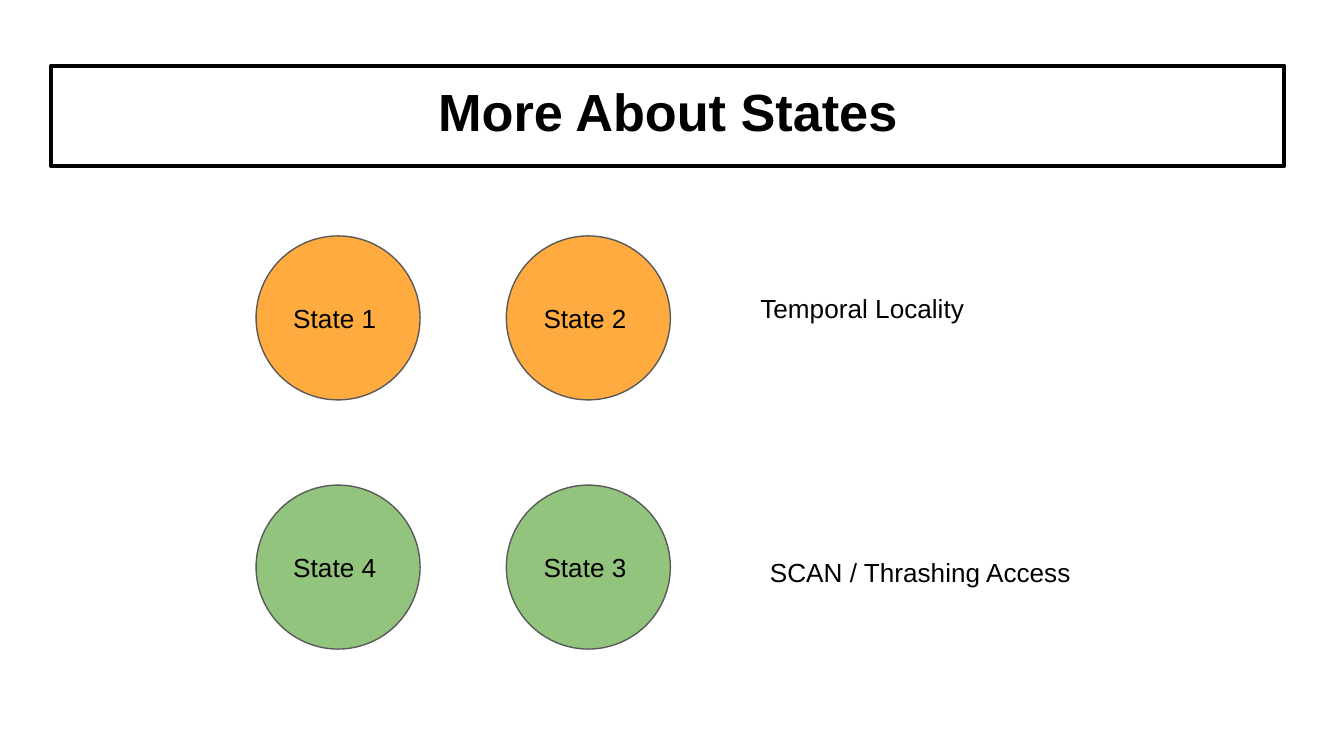
from dataclasses import dataclass

from pptx import Presentation
from pptx.dml.color import RGBColor
from pptx.enum.shapes import MSO_SHAPE
from pptx.enum.text import MSO_ANCHOR, MSO_AUTO_SIZE, PP_ALIGN
from pptx.util import Cm, Pt

OVAL = MSO_SHAPE.OVAL
TOP, MIDDLE = MSO_ANCHOR.TOP, MSO_ANCHOR.MIDDLE
LEFT, CENTER = PP_ALIGN.LEFT, PP_ALIGN.CENTER
NO_AUTOFIT = MSO_AUTO_SIZE.NONE
TITLE_ONLY = 5


@dataclass(frozen=True)
class Theme:
    font: str = "Arial"
    ink: str = "000000"
    outline: str = "595959"
    locality: str = "FFAB40"
    thrashing: str = "93C47D"
    title_size: float = 28
    body_size: float = 14
    title_border: float = 2.25
    state_border: float = 0.75
    inset: float = 0.25


class StateSlide:
    def __init__(self, presentation, theme):
        self.theme = theme
        self.slide = presentation.slides.add_slide(
            presentation.slide_layouts[TITLE_ONLY])

    def set_text(self, shape, wording, size, bold=False, align=LEFT, anchor=TOP):
        frame = shape.text_frame
        frame.text = wording
        inset = Cm(self.theme.inset)
        frame_format = {
            "word_wrap": True, "auto_size": NO_AUTOFIT,
            "vertical_anchor": anchor,
            "margin_left": inset, "margin_right": inset,
            "margin_top": inset, "margin_bottom": inset,
        }
        for name, value in frame_format.items():
            setattr(frame, name, value)
        paragraph = frame.paragraphs[0]
        paragraph.alignment = align
        font = paragraph.runs[0].font
        font_format = {"name": self.theme.font, "size": Pt(size), "bold": bold}
        for name, value in font_format.items():
            setattr(font, name, value)
        font.color.rgb = RGBColor.from_string(self.theme.ink)

    def border(self, shape, color, width):
        shape.line.color.rgb = RGBColor.from_string(color)
        shape.line.width = Pt(width)

    def title(self, wording, left, top, width, height):
        heading = self.slide.shapes.title
        placement = {"left": left, "top": top, "width": width, "height": height}
        for name, value in placement.items():
            setattr(heading, name, Cm(value))
        self.border(heading, self.theme.ink, self.theme.title_border)
        self.set_text(heading, wording, self.theme.title_size, True, CENTER)

    def state(self, wording, left, top, diameter, color):
        circle = self.slide.shapes.add_shape(
            OVAL, Cm(left), Cm(top), Cm(diameter), Cm(diameter))
        circle.shadow.inherit = False
        circle.fill.solid()
        circle.fill.fore_color.rgb = RGBColor.from_string(color)
        self.border(circle, self.theme.outline, self.theme.state_border)
        self.set_text(circle, wording, self.theme.body_size, anchor=MIDDLE)

    def label(self, wording, left, top, width, height):
        caption = self.slide.shapes.add_textbox(
            Cm(left), Cm(top), Cm(width), Cm(height))
        self.set_text(caption, wording, self.theme.body_size)


def main():
    presentation = Presentation()
    presentation.slide_width, presentation.slide_height = Cm(25.4), Cm(14.29)
    theme = Theme()
    page = StateSlide(presentation, theme)
    page.title("More About States", 0.97, 1.24, 23.3, 1.9)

    first_left, first_top = 4.84, 4.46
    column_step, row_step = 4.73, 4.71
    diameter = 3.1
    state_rows = [
        (theme.locality, ["State 1", "State 2"]),
        (theme.thrashing, ["State 4", "State 3"]),
    ]
    for row, (color, states) in enumerate(state_rows):
        for column, state in enumerate(states):
            page.state(state, first_left + column * column_step,
                       first_top + row * row_step, diameter, color)

    page.label("Temporal Locality", 14.12, 5.28, 4.62, 1.2)
    page.label("SCAN / Thrashing Access", 14.3, 10.27, 6.28, 1.2)
    presentation.save("out.pptx")


if __name__ == "__main__":
    main()
